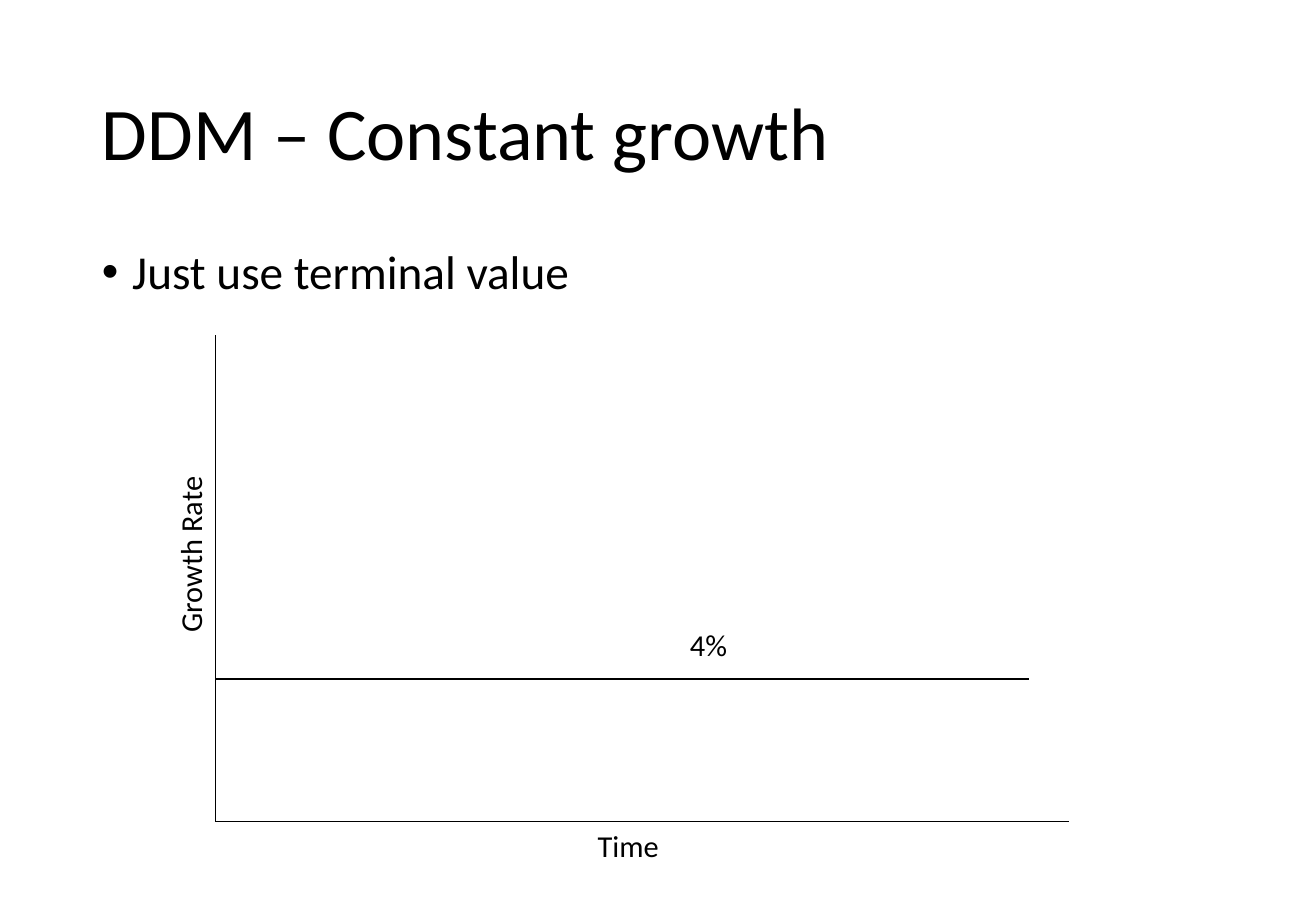
"""Build the slide on the dividend discount model with constant growth."""
from lxml.etree import SubElement
from pptx import Presentation
from pptx.dml.color import RGBColor
from pptx.enum.shapes import MSO_CONNECTOR
from pptx.enum.text import MSO_ANCHOR
from pptx.oxml.ns import qn
from pptx.util import Inches, Pt

BLACK = RGBColor(0, 0, 0)
FONT = "Calibri"

LEFT, TOP, BOTTOM, RIGHT = 1.77, 2.76, 6.76, 8.8
GROWTH_Y, GROWTH_END = 5.59, 8.47

TEXTS = [
    ("DDM – Constant growth", (0.74, 0.4, 9.34, 1.45),
     dict(size=44, anchor=MSO_ANCHOR.MIDDLE, spacing=0.9)),
    ("Just use terminal value", (0.74, 2, 9.34, 4.76),
     dict(size=28, spacing=0.9, before=10, bullet="•")),
    ("Time", (4.82, BOTTOM, 0.76, 0.4), {}),
    ("Growth Rate", (0.8, 4.34, 1.53, 0.4), dict(rotation=270)),
    ("4%", (5.58, 5.11, 0.74, 0.4), {}),
]
LINES = [
    ((LEFT, TOP), (LEFT, BOTTOM), 0.5),
    ((LEFT, BOTTOM), (RIGHT, BOTTOM), 0.5),
    ((LEFT, GROWTH_Y), (GROWTH_END, GROWTH_Y), 1.5),
]


def add_text(s, text, box, size=18, anchor=MSO_ANCHOR.TOP, spacing=1.0,
             before=0, bullet=None, rotation=0):
    sp = s.shapes.add_textbox(*map(Inches, box))
    sp.rotation = rotation
    tf = sp.text_frame
    tf.word_wrap = True
    tf.vertical_anchor = anchor
    p = tf.paragraphs[0]
    p.line_spacing = spacing
    p.space_before = Pt(before)
    if bullet:
        pPr = p._p.get_or_add_pPr()
        pPr.set("marL", str(Inches(0.25)))
        pPr.set("indent", str(Inches(-0.25)))
        SubElement(pPr, qn("a:buFont")).set("typeface", "Arial")
        SubElement(pPr, qn("a:buChar")).set("char", bullet)
    r = p.add_run()
    r.text = text
    r.font.name = FONT
    r.font.size = Pt(size)
    r.font.color.rgb = BLACK


def add_line(s, start, end, width):
    line = s.shapes.add_connector(MSO_CONNECTOR.STRAIGHT, *map(Inches, start + end))
    line.line.color.rgb = BLACK
    line.line.width = Pt(width)
    SubElement(line._element.spPr, qn("a:effectLst"))


def main():
    prs = Presentation()
    prs.slide_width, prs.slide_height = Inches(10.83), Inches(7.5)
    s = prs.slides.add_slide(prs.slide_layouts[6])
    for text, box, style in TEXTS:
        add_text(s, text, box, **style)
    for start, end, width in LINES:
        add_line(s, start, end, width)
    prs.save("out.pptx")


if __name__ == "__main__":
    main()
